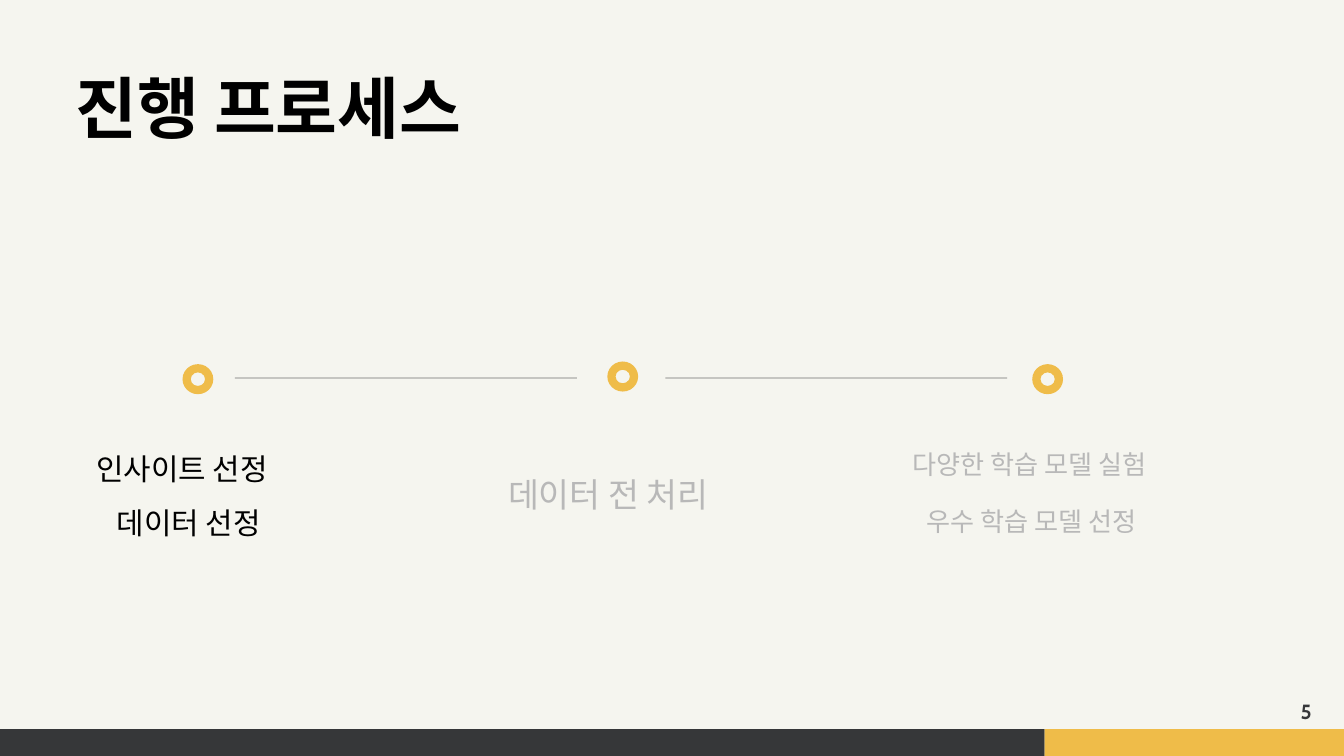
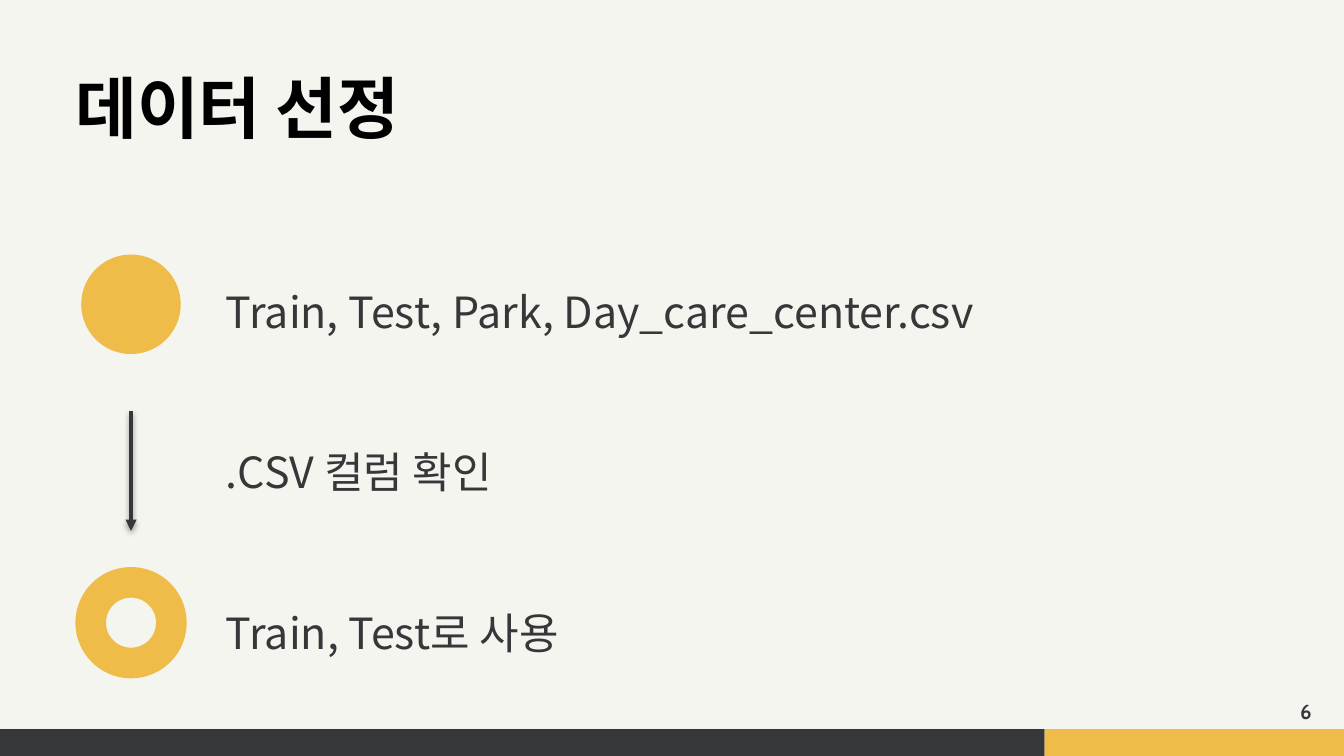
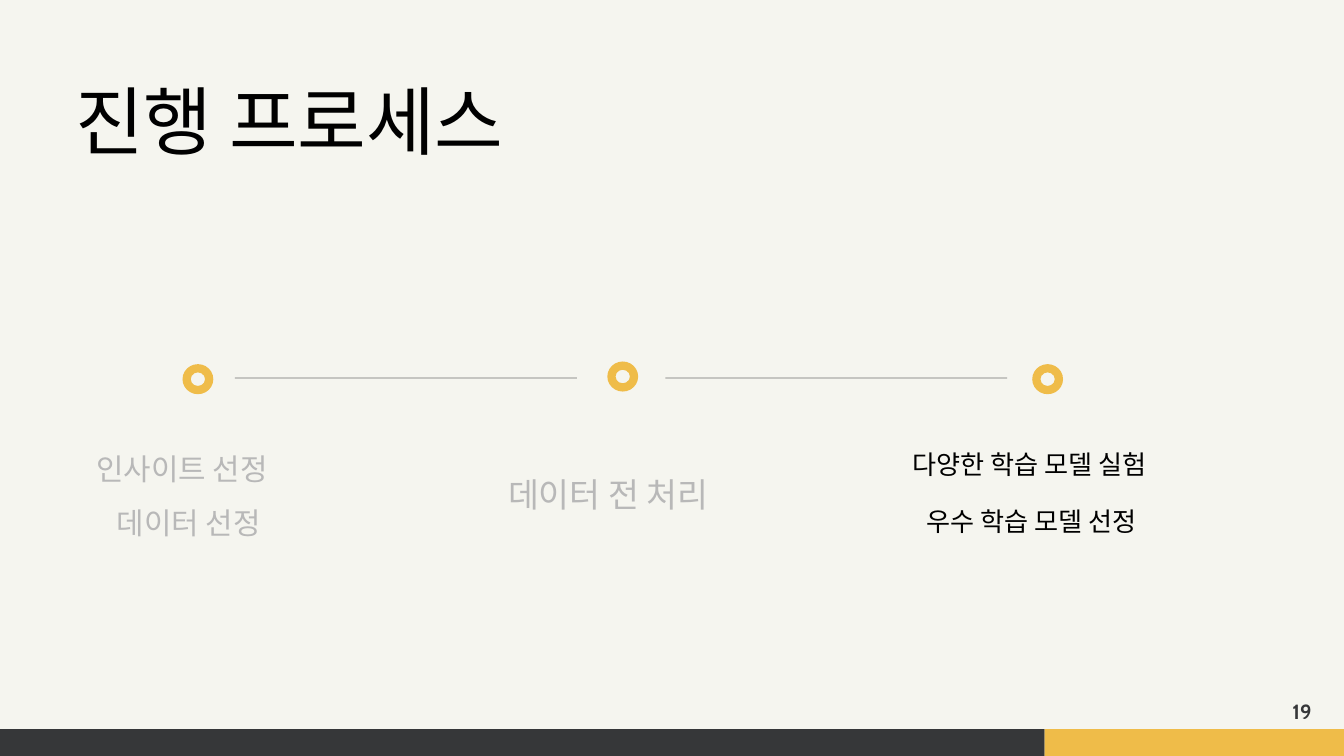
import pptx
import pptx.util
import pptx.dml.color
import pptx.enum.shapes
import pptx.enum.text
import pptx.oxml
import pptx.oxml.ns
from dataclasses import dataclass

Pt = pptx.util.Pt
SHAPE = pptx.enum.shapes.MSO_SHAPE
ANCHOR = pptx.enum.text.MSO_ANCHOR
ALIGN = pptx.enum.text.PP_ALIGN
FIT = pptx.enum.text.MSO_AUTO_SIZE


@dataclass(frozen=True)
class Theme:
    paper: str = "F5F5EF"
    dark: str = "363739"
    accent: str = "EFBC49"
    active: str = "000000"
    muted: str = "B8B8B8"
    body_font: str = "Noto Sans CJK KR"
    number_font: str = "Cabin"
    number_size: float = 11
    step_size: float = 23
    label_spacing: float = 1.4


THEME = Theme()
WIDTH, HEIGHT = 720, 405

BOLD_TITLE = {"top": 35.3, "size": 36, "bold": True}
PLAIN_TITLE = {"top": 40.3, "size": 40, "bold": False}

# Each stage: ring top, label size, then labels as (text, box)
STAGES = [
    (195.1, 16, [("인사이트 선정", (51.8, 234, 108, 27.4)),
                 ("데이터 선정", (62.6, 262.8, 87.1, 27.4))]),
    (193.7, 18, [("데이터 전 처리", (272.2, 245.5, 122.4, 30.2))]),
    (195.1, 14, [("다양한 학습 모델 실험", (488.9, 233.3, 142.6, 23.8)),
                 ("우수 학습 모델 선정", (496.1, 264.2, 128.2, 23.8))]),
]
DATA_STEPS = [("Train, Test, Park, Day_care_center.csv", 408.2),
              (".CSV 컬럼 확인", 309),
              ("Train, Test로 사용", 309)]

SLIDES = [
    {"title": "진행 프로세스", "title_width": 307.4, "title_style": BOLD_TITLE,
     "number": 5, "active_stage": 0},
    {"title": "데이터 선정", "title_width": 197.3, "title_style": BOLD_TITLE,
     "number": 6, "steps": DATA_STEPS},
    {"title": "진행 프로세스", "title_width": 252.7, "title_style": PLAIN_TITLE,
     "number": 19, "active_stage": 2},
]

SHADOW = """<a:effectLst %s><a:outerShdw blurRad="40000" dist="20000" dir="5400000"
 rotWithShape="0"><a:srgbClr val="000000"><a:alpha val="38000"/></a:srgbClr>
 </a:outerShdw></a:effectLst>""" % pptx.oxml.ns.nsdecls("a")


def rgb(value):
    return pptx.dml.color.RGBColor.from_string(value)


def add_child(parent, tag, **attributes):
    child = parent.makeelement(pptx.oxml.ns.qn(tag), attributes)
    parent.append(child)
    return child


def write(frame, text, font, size, color, bold=False, **layout):
    """Fill a text frame with one formatted paragraph and no insets."""
    settings = {"margin_left": 0, "margin_right": 0, "margin_top": 0, "margin_bottom": 0,
                "word_wrap": True, "auto_size": FIT.NONE, "vertical_anchor": ANCHOR.TOP}
    paragraph = frame.paragraphs[0]
    run = paragraph.add_run()
    run.text = text
    align = {"alignment": layout.pop("alignment", ALIGN.LEFT),
             "line_spacing": layout.pop("line_spacing", None)}
    face = {"name": font, "size": Pt(size), "bold": bold}
    for target, values in ((frame, settings | layout), (paragraph, align), (run.font, face)):
        for name, value in values.items():
            setattr(target, name, value)
    run.font.color.rgb = rgb(color)
    add_child(run.font._element, "a:ea", typeface=font)


def add_text(slide, box, text, font, size, color, **layout):
    holder = slide.shapes.add_textbox(*map(Pt, box))
    write(holder.text_frame, text, font, size, color, **layout)


def add_label(slide, box, text, size, color):
    add_text(slide, box, text, THEME.body_font, size, color,
             line_spacing=THEME.label_spacing, auto_size=FIT.SHAPE_TO_FIT_TEXT)


def add_filled(slide, kind, box, color):
    part = slide.shapes.add_shape(kind, *map(Pt, box))
    part.shadow.inherit = False
    part.fill.solid()
    part.fill.fore_color.rgb = rgb(color)
    part.line.fill.background()
    return part


def add_ring(slide, box):
    add_filled(slide, SHAPE.DONUT, box, THEME.accent).adjustments[0] = 0.275


def add_line(slide, start, end, width):
    line = slide.shapes.add_connector(
        pptx.enum.shapes.MSO_CONNECTOR.STRAIGHT, *map(Pt, start + end))
    line.line.color.rgb = rgb(THEME.dark)
    line.line.width = Pt(width)
    return line


def add_frame(slide, content):
    """Add the title, footer bands and slide number."""
    style = content["title_style"]
    title = slide.shapes.title
    title.left, title.top = Pt(40.3), Pt(style["top"])
    title.width, title.height = Pt(content["title_width"]), Pt(56.9)
    write(title.text_frame, content["title"], THEME.body_font, style["size"],
          THEME.active, style["bold"])
    band_top, split = 390.7, 559.6
    for left, right, color in ((0, split, THEME.dark), (split, WIDTH, THEME.accent)):
        add_filled(slide, SHAPE.RECTANGLE,
                   (left, band_top, right - left, HEIGHT - band_top), color)
    add_text(slide, (659.5, 373.7, 43.2, 14.4), str(content["number"]), THEME.number_font,
             THEME.number_size, THEME.dark, bold=True, alignment=ALIGN.RIGHT,
             vertical_anchor=ANCHOR.MIDDLE)


def add_timeline(slide, active_stage):
    ring_left, ring_step, ring_width, ring_height = 97.8, 227.6, 16.5, 16.1
    line_left, line_step, line_length, line_y = 125.8, 230.6, 183.2, 202.5
    for index, (ring_top, size, labels) in enumerate(STAGES):
        add_ring(slide, (ring_left + index * ring_step, ring_top, ring_width, ring_height))
        color = THEME.active if index == active_stage else THEME.muted
        for text, box in labels:
            add_label(slide, box, text, size, color)
    for index in range(len(STAGES) - 1):
        left = line_left + index * line_step
        link = add_line(slide, (left, line_y), (left + line_length, line_y), 0.75)
        tint = link.line._ln.find(".//" + pptx.oxml.ns.qn("a:srgbClr"))
        add_child(tint, "a:alpha", val="39000")
        add_child(link._element.spPr, "a:effectLst")


def add_steps(slide, steps):
    axis, first_top, step = 70.2, 141.8, 86
    disc, ring = 53.3, 59.6
    add_filled(slide, SHAPE.OVAL, (axis - disc / 2, 136.4, disc, disc), THEME.accent)
    add_ring(slide, (axis - ring / 2, 303.8, ring, ring))
    for index, (text, width) in enumerate(steps):
        add_label(slide, (121, first_top + index * step, width, 38.9), text,
                  THEME.step_size, THEME.dark)
    arrow = add_line(slide, (axis, 220.3), (axis, 284.4), 2)
    add_child(arrow.line._ln, "a:tailEnd", type="triangle")
    arrow._element.spPr.append(pptx.oxml.parse_xml(SHADOW))


def main():
    deck = pptx.Presentation()
    deck.slide_width, deck.slide_height = Pt(WIDTH), Pt(HEIGHT)
    backdrop = deck.slide_master.background.fill
    backdrop.solid()
    backdrop.fore_color.rgb = rgb(THEME.paper)
    title_only = deck.slide_layouts[5]
    for content in SLIDES:
        slide = deck.slides.add_slide(title_only)
        add_frame(slide, content)
        if "steps" in content:
            add_steps(slide, content["steps"])
        else:
            add_timeline(slide, content["active_stage"])
    deck.save("out.pptx")


if __name__ == "__main__":
    main()
